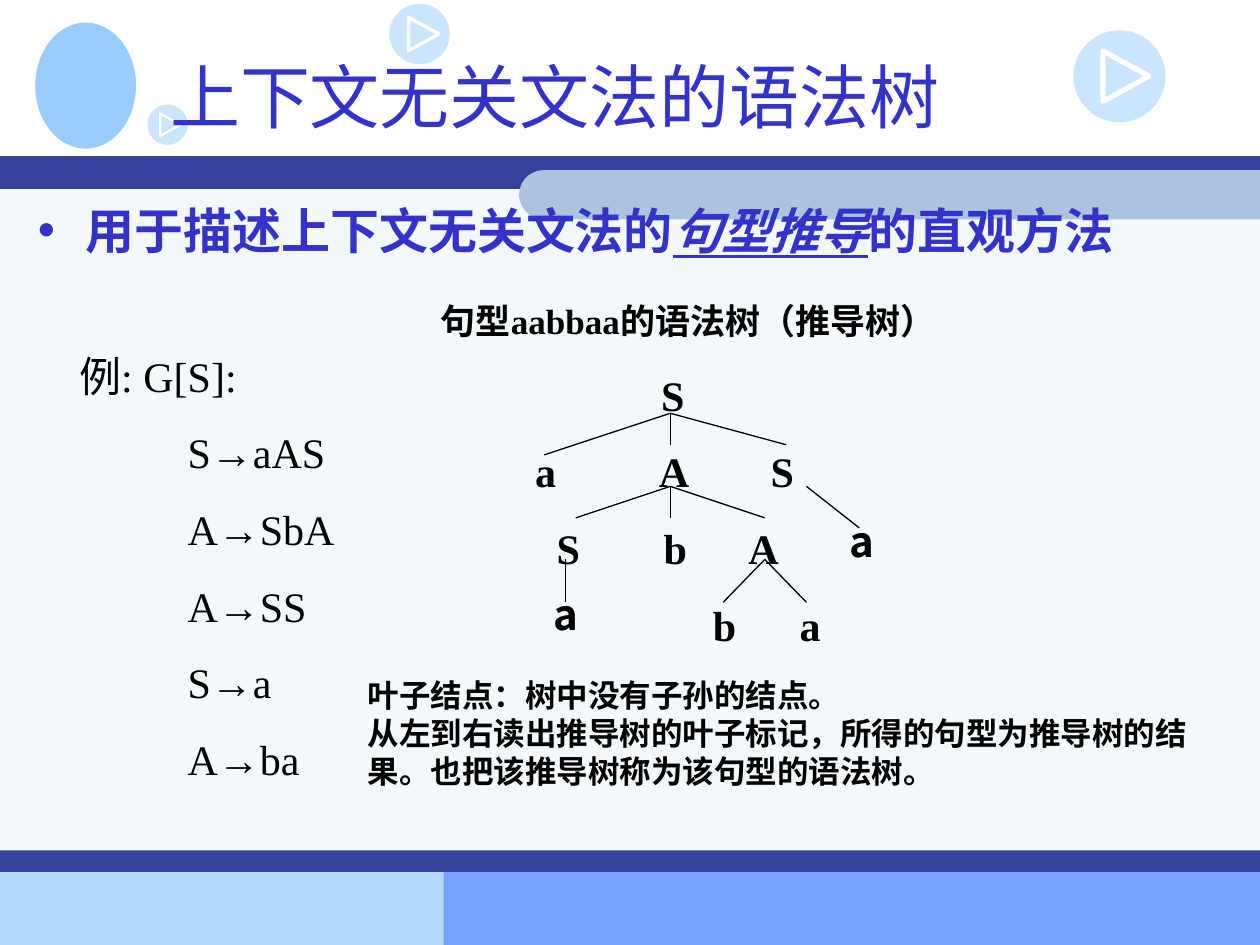
from lxml.etree import SubElement
from pptx import Presentation
from pptx.dml.color import RGBColor
from pptx.enum.shapes import MSO_CONNECTOR, MSO_SHAPE
from pptx.enum.text import MSO_ANCHOR, PP_ALIGN
from pptx.oxml.ns import qn
from pptx.util import Inches, Pt

BLACK = RGBColor(0x00, 0x00, 0x00)
WHITE = RGBColor(0xFF, 0xFF, 0xFF)
INDIGO = RGBColor(0x33, 0x33, 0xCC)
NAVY = RGBColor(0x36, 0x42, 0x9B)
PALE = RGBColor(0xF3, 0xF8, 0xFB)
MIST = RGBColor(0xAD, 0xC3, 0xDD)
SKY = RGBColor(0xB5, 0xDA, 0xFF)
BLUE = RGBColor(0x77, 0xA4, 0xFF)
AQUA = RGBColor(0x99, 0xCC, 0xFF)
ICE = RGBColor(0xCC, 0xE5, 0xFF)
SERIF = "Times New Roman"
SANS = "Noto Sans CJK SC"


class SlideBuilder:
    """Draw styled elements on the current slide."""

    def __init__(self, slide):
        self.slide = slide

    def place(self, shape, left, top, width, height):
        shape.left, shape.top = Inches(left), Inches(top)
        shape.width, shape.height = Inches(width), Inches(height)

    def style(self, span, size, color, bold=False, face=SERIF):
        font = span.font
        font.size, font.bold, font.name = Pt(size), bold, face
        font.color.rgb = color
        SubElement(span._r.get_or_add_rPr(), qn("a:ea"), typeface=SANS)

    def shape(self, kind, left, top, width, height, color):
        shape = self.slide.shapes.add_shape(
            kind, Inches(left), Inches(top), Inches(width), Inches(height))
        shape.shadow.inherit = False
        shape.fill.solid()
        shape.fill.fore_color.rgb = color
        shape.line.fill.background()
        return shape

    def play_icon(self, left, top, size):
        self.shape(MSO_SHAPE.OVAL, left, top, size, size, ICE)
        base, height = 0.55 * size, 0.5 * size
        arrow = self.shape(MSO_SHAPE.ISOSCELES_TRIANGLE, left + 0.57 * size - base / 2,
                           top + (size - height) / 2, base, height, ICE)
        arrow.rotation = 90
        arrow.line.color.rgb = WHITE
        arrow.line.width = Pt(4 * size)

    def title(self, text):
        title = self.slide.shapes.title
        self.place(title, 1.25, 0.17, 8.5, 1.17)
        title.text_frame.text = text
        title.text_frame.vertical_anchor = MSO_ANCHOR.MIDDLE
        para = title.text_frame.paragraphs[0]
        para.alignment = PP_ALIGN.LEFT
        self.style(para.runs[0], 40, INDIGO, face=SANS)

    def bullet(self, before, emphasis, after):
        body = self.slide.placeholders[1]
        self.place(body, 0.2, 1.54, 9.61, 4.96)
        para = body.text_frame.paragraphs[0]
        para.space_before = Pt(0)
        properties = para._p.get_or_add_pPr()
        properties.set("marL", str(Inches(0.38)))
        properties.set("indent", str(-Inches(0.38)))
        color = SubElement(properties, qn("a:buClr"))
        SubElement(color, qn("a:srgbClr"), val=str(INDIGO))
        SubElement(properties, qn("a:buChar"), char="•")
        for text in (before, emphasis, after):
            span = para.add_run()
            span.text = text
            self.style(span, 28, INDIGO, bold=True)
            if text == emphasis:
                span.font.italic = span.font.underline = True

    def text(self, lines, left, top, width, height, size, bold=True,
             face=SERIF, align=PP_ALIGN.LEFT, indents=()):
        box = self.slide.shapes.add_textbox(
            Inches(left), Inches(top), Inches(width), Inches(height))
        frame = box.text_frame
        frame.word_wrap = True
        for index, line in enumerate(lines):
            para = frame.add_paragraph() if index else frame.paragraphs[0]
            para.text = line
            para.alignment = align
            para.line_spacing = Pt(size * 1.2)
            if index:
                para.space_before = Pt(15)
            if indents:
                para._p.get_or_add_pPr().set("marL", str(Inches(indents[index])))
            for span in para.runs:
                self.style(span, size, BLACK, bold, face)

    def node(self, label, center, top, face=SERIF):
        self.text([label], center - 0.25, top, 0.5, 0.5, 24,
                  face=face, align=PP_ALIGN.CENTER)

    def branch(self, start, end):
        line = self.slide.shapes.add_connector(
            MSO_CONNECTOR.STRAIGHT, *(Inches(value) for value in start + end))
        line.line.color.rgb = BLACK
        line.line.width = Pt(0.75)
        SubElement(line._element.spPr, qn("a:effectLst"))


def main():
    deck = Presentation()
    deck.slide_width, deck.slide_height = Inches(10), Inches(7.5)
    page = SlideBuilder(deck.slides.add_slide(deck.slide_layouts[1]))
    tree = page.slide.shapes._spTree
    placeholders = [shape._element for shape in page.slide.placeholders]

    for left, top, width, height, color in (
        (0, 6.92, 4.25, 0.58, SKY),
        (3.52, 6.91, 6.48, 0.59, BLUE),
        (0, 1.4, 10, 5.51, PALE),
        (0, 1.24, 10, 0.26, NAVY),
        (0, 6.75, 10, 0.17, NAVY),
    ):
        page.shape(MSO_SHAPE.RECTANGLE, left, top, width, height, color)
    length, thickness = 5.88, 0.39
    band = page.shape(MSO_SHAPE.ROUND_2_SAME_RECTANGLE, 10 - (length + thickness) / 2,
                      1.35 + (thickness - length) / 2, thickness, length, MIST)
    band.adjustments[0] = 0.5
    band.rotation = 270
    page.shape(MSO_SHAPE.OVAL, 0.28, 0.18, 0.8, 1, AQUA)
    for left, top, size in ((3.09, 0.03, 0.48), (8.52, 0.24, 0.73), (1.17, 0.83, 0.32)):
        page.play_icon(left, top, size)
    for element in placeholders:
        tree.append(element)

    page.title("上下文无关文法的语法树")
    page.bullet("用于描述上下文无关文法的", "句型推导", "的直观方法")
    rules = ("S→aAS", "A→SbA", "A→SS", "S→a", "A→ba")
    page.text(("例: G[S]:",) + rules, 0.39, 2.73, 4.42, 3.54, 24, bold=False,
              indents=(0.14,) + (1,) * len(rules))

    levels = (
        (("S", 5.34),),
        (("a", 4.33), ("A", 5.35), ("S", 6.21)),
        (("S", 4.51), ("b", 5.36), ("A", 6.06)),
        (("b", 5.75), ("a", 6.43)),
    )
    for depth, level in enumerate(levels):
        for label, center in level:
            page.node(label, center, 2.88 + 0.61 * depth)
    branches = {
        (5.32, 3.28): ((5.32, 3.53), (4.32, 3.61), (6.24, 3.53)),
        (5.32, 3.86): ((5.32, 4.11), (4.57, 4.11), (6.07, 4.11)),
        (6.4, 3.86): ((6.82, 4.19),),
        (4.49, 4.44): ((4.49, 4.78),),
        (6.07, 4.44): ((5.74, 4.78), (6.4, 4.78)),
    }
    for parent, children in branches.items():
        for child in children:
            page.branch(parent, child)

    page.text(["句型aabbaa的语法树（推导树）"], 3.4, 2.33, 4.71, 0.44, 20)
    page.text(["叶子结点：树中没有子孙的结点。\v从左到右读出推导树的叶子标记，"
               "所得的句型为推导树的结果。也把该推导树称为该句型的语法树。"],
              2.82, 5.32, 6.75, 1, 18)
    for center, top in ((6.84, 4.04), (4.49, 4.62)):
        page.node("a", center, top, face=SANS)
    deck.save("out.pptx")


if __name__ == "__main__":
    main()
